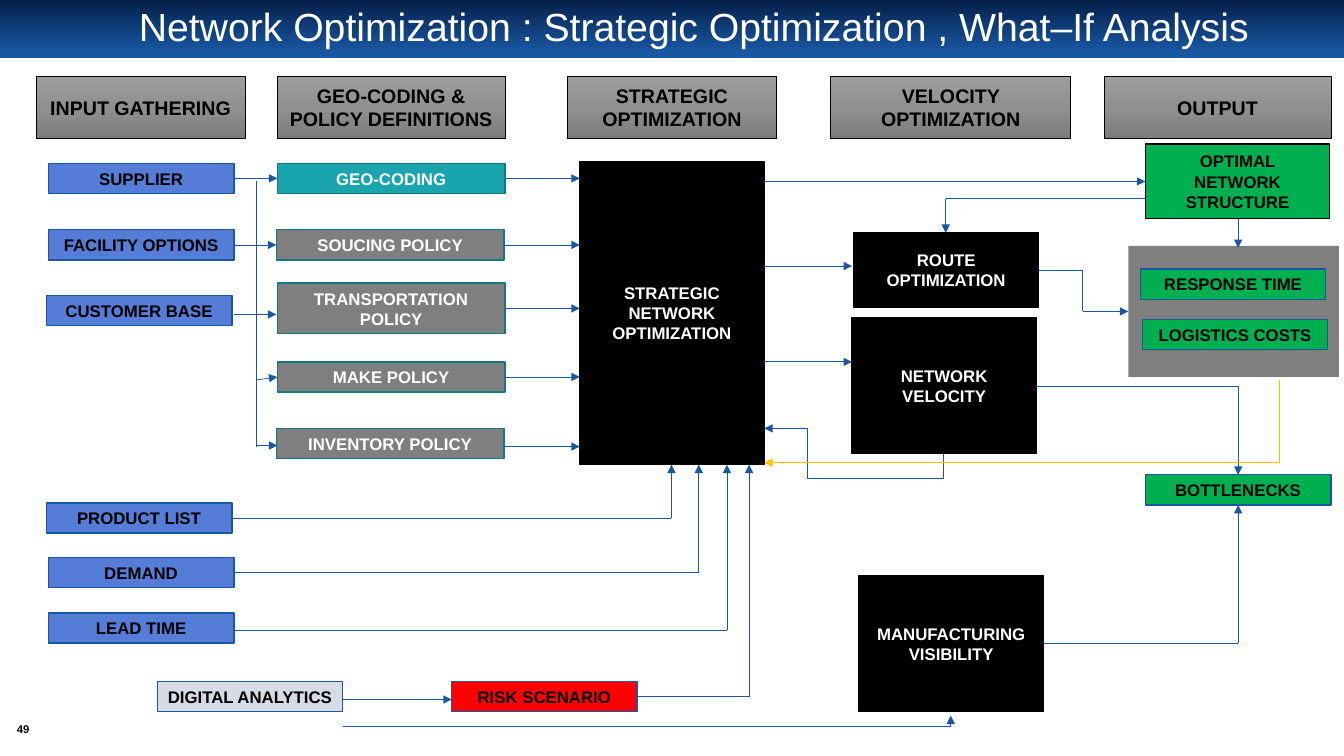
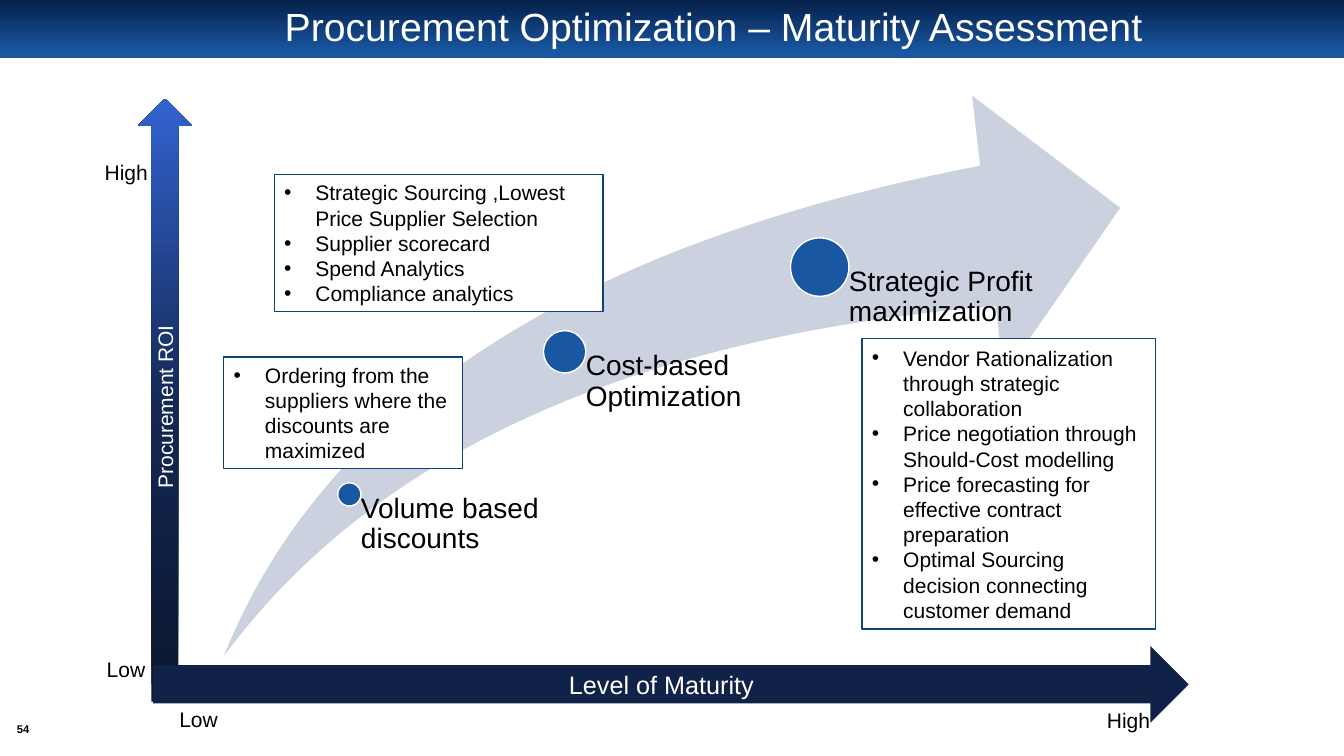
"""Build two supply chain optimization slides."""
from lxml import etree
from pptx import Presentation
from pptx.dml.color import RGBColor
from pptx.enum.shapes import MSO_CONNECTOR, MSO_SHAPE
from pptx.enum.text import MSO_ANCHOR, PP_ALIGN
from pptx.oxml.ns import qn
from pptx.util import Inches, Pt

RECT, OVAL = MSO_SHAPE.RECTANGLE, MSO_SHAPE.OVAL
UP, RIGHT, SWOOSH = MSO_SHAPE.UP_ARROW, MSO_SHAPE.RIGHT_ARROW, MSO_SHAPE.SWOOSH_ARROW
STRAIGHT = MSO_CONNECTOR.STRAIGHT
TOP, MIDDLE = MSO_ANCHOR.TOP, MSO_ANCHOR.MIDDLE
LEFT, CENTER = PP_ALIGN.LEFT, PP_ALIGN.CENTER

FONT = "Arial"
COLORS = {
    "black": "000000", "white": "FFFFFF", "blue": "1957A3", "input": "557DD7",
    "teal": "1AA4AD", "teal_line": "137980", "gray": "7F7F7F", "green": "00B050",
    "red": "FF0000", "pale": "D6DCE5", "amber": "FFC000", "swoosh": "CCD1E0",
    "note_line": "124079", "navy": "112248",
}
GRADIENTS = {
    "band": (270, [(0, "052049"), (90, "1957A3")]),
    "header": (270, [(0, "9D9D9D"), (50, "909090"), (100, "7C7C7C")]),
    "axis": (90, [(0, "0B1730"), (48, "132752"), (100, "3363CF")]),
}


def rgb(name):
    return RGBColor.from_string(COLORS[name])


def write(tf, text, size=12, color="black", bold=False, align=CENTER, anchor=MIDDLE,
          spacing=None, bullet=False, inset=None, wrap=True):
    tf.word_wrap = wrap
    tf.vertical_anchor = anchor
    if inset is not None:
        tf.margin_left = tf.margin_right = tf.margin_top = tf.margin_bottom = Inches(inset)
    for i, line in enumerate(text.split("\n")):
        p = tf.add_paragraph() if i else tf.paragraphs[0]
        p.alignment = align
        if spacing:
            p.line_spacing = spacing
        if bullet:
            pPr = p._p.get_or_add_pPr()
            pPr.set("marL", str(Inches(0.31)))
            pPr.set("indent", str(-Inches(0.31)))
            etree.SubElement(pPr, qn("a:buFont"), typeface=FONT)
            etree.SubElement(pPr, qn("a:buChar"), char="•")
        r = p.add_run()
        r.text = line
        r.font.name, r.font.size, r.font.bold = FONT, Pt(size), bold
        r.font.color.rgb = rgb(color)


class Deck:
    def __init__(self):
        self.prs = Presentation()
        self.prs.slide_width, self.prs.slide_height = Inches(13.33), Inches(7.5)
        self.s = None

    def slide(self, title, left, width, number):
        self.s = self.prs.slides.add_slide(self.prs.slide_layouts[6])
        self.shape(RECT, 0, 0, 13.33, 0.58, "band")
        self.text(title, left, 0.09, width, 0.39, size=28, color="white", spacing=0.9)
        self.text(number, 0.08, 7.14, 0.3, 0.19, size=8, bold=True, inset=0, wrap=False)

    def shape(self, kind, x, y, w, h, fill, line=None, weight=1):
        sp = self.s.shapes.add_shape(kind, Inches(x), Inches(y), Inches(w), Inches(h))
        sp.shadow.inherit = False
        if fill in GRADIENTS:
            self.gradient(sp, *GRADIENTS[fill])
        else:
            sp.fill.solid()
            sp.fill.fore_color.rgb = rgb(fill)
        if line:
            sp.line.color.rgb = rgb(line)
            sp.line.width = Pt(weight)
        else:
            sp.line.fill.background()
        return sp

    def gradient(self, sp, angle, stops):
        sp.fill.gradient()
        sp.fill.gradient_angle = angle
        stop_list = sp._element.spPr.find(qn("a:gradFill")).find(qn("a:gsLst"))
        for stop in list(stop_list):
            stop_list.remove(stop)
        for pos, color in stops:
            stop = etree.SubElement(stop_list, qn("a:gs"), pos=str(pos * 1000))
            etree.SubElement(stop, qn("a:srgbClr"), val=color)

    def text(self, text, x, y, w, h, **fmt):
        tb = self.s.shapes.add_textbox(Inches(x), Inches(y), Inches(w), Inches(h))
        write(tb.text_frame, text, **fmt)

    def box(self, text, x, y, w, h, fill, line="blue", color="black"):
        sp = self.shape(RECT, x, y, w, h, fill, line)
        write(sp.text_frame, text, color=color, bold=True)

    def header(self, text, x, w):
        sp = self.shape(RECT, x, 0.76, w, 0.61, "header", "black", 0.5)
        write(sp.text_frame, text, size=14, bold=True)

    def route(self, *points, color="blue", arrow=True):
        for i, (start, end) in enumerate(zip(points, points[1:]), 2):
            cn = self.s.shapes.add_connector(STRAIGHT, *map(Inches, start + end))
            cn.line.color.rgb = rgb(color)
            cn.line.width = Pt(0.5)
            spPr = cn._element.spPr
            if arrow and i == len(points):
                etree.SubElement(spPr.find(qn("a:ln")), qn("a:tailEnd"), type="triangle")
            etree.SubElement(spPr, qn("a:effectLst"))

    def note(self, text, x, y, w, h):
        sp = self.shape(RECT, x, y, w, h, "white", "note_line")
        write(sp.text_frame, text, size=15, align=LEFT, bullet=True)

    def milestone(self, text, x, y, size):
        self.shape(OVAL, x, y, size, size, "blue", "white")
        self.text(text, x + size, y + size / 2, 1.95, 0.7, size=20, align=LEFT,
                  anchor=TOP, spacing=0.9, inset=0)

    def axis(self, kind, text, x, y, w, h, fill, size, vert="horz"):
        sp = self.shape(kind, x, y, w, h, fill)
        write(sp.text_frame, text, size=size, color="white")
        sp.text_frame._txBody.bodyPr.set("vert", vert)


def network_slide(d):
    d.slide("Network Optimization : Strategic Optimization , What–If Analysis", 1.07, 11.62, "49")
    d.shape(RECT, 11.19, 2.44, 2.09, 1.3, "gray")
    for text, x, w in [
        ("INPUT GATHERING", 0.36, 2.07),
        ("GEO-CODING & POLICY DEFINITIONS", 2.75, 2.26),
        ("STRATEGIC OPTIMIZATION", 5.63, 2.07),
        ("VELOCITY OPTIMIZATION", 8.24, 2.38),
        ("OUTPUT", 10.95, 2.25),
    ]:
        d.header(text, x, w)

    for text, x, y, fill in [
        ("SUPPLIER", 0.48, 1.62, "input"),
        ("FACILITY OPTIONS", 0.48, 2.28, "input"),
        ("CUSTOMER BASE", 0.46, 2.93, "input"),
        ("PRODUCT LIST", 0.46, 4.99, "input"),
        ("DEMAND", 0.48, 5.53, "input"),
        ("LEAD TIME", 0.48, 6.08, "input"),
        ("DIGITAL ANALYTICS", 1.56, 6.76, "pale"),
        ("RISK SCENARIO", 4.48, 6.76, "red"),
        ("RESPONSE TIME", 11.31, 2.67, "green"),
        ("LOGISTICS COSTS", 11.33, 3.17, "green"),
        ("BOTTLENECKS", 11.36, 4.71, "green"),
    ]:
        d.box(text, x, y, 1.84, 0.3, fill)

    for text, x, y, h, fill, arrow_y in [
        ("GEO-CODING", 2.75, 1.62, 0.3, "teal", 1.77),
        ("SOUCING POLICY", 2.74, 2.28, 0.3, "gray", 2.43),
        ("TRANSPORTATION POLICY", 2.75, 2.81, 0.5, "gray", 3.06),
        ("MAKE POLICY", 2.75, 3.59, 0.3, "gray", 3.74),
        ("INVENTORY POLICY", 2.74, 4.25, 0.3, "gray", 4.43),
    ]:
        d.box(text, x, y, 2.26, h, fill, "teal_line", "white")
        d.route((x + 2.26, arrow_y), (5.75, arrow_y))

    for text, x, y, h in [
        ("STRATEGIC NETWORK OPTIMIZATION", 5.75, 1.6, 3.01),
        ("ROUTE OPTIMIZATION", 8.47, 2.31, 0.74),
        ("NETWORK VELOCITY", 8.45, 3.15, 1.35),
        ("MANUFACTURING VISIBILITY", 8.52, 5.71, 1.35),
    ]:
        d.box(text, x, y, 1.83, h, "black", "black", "white")
    d.box("OPTIMAL NETWORK STRUCTURE", 11.36, 1.43, 1.83, 0.74, "green", "black")

    d.route((2.54, 1.8), (2.54, 4.43), arrow=False)
    for points in [
        [(2.32, 1.77), (2.75, 1.77)],
        [(2.32, 2.43), (2.74, 2.43)],
        [(2.32, 3.12), (2.74, 3.12)],
        [(2.54, 3.77), (2.75, 3.74)],
        [(2.54, 4.42), (2.75, 4.42)],
        [(2.3, 5.14), (6.66, 5.14), (6.66, 4.61)],
        [(2.32, 5.68), (6.93, 5.68), (6.93, 4.61)],
        [(2.32, 6.25), (7.21, 6.25), (7.21, 4.61)],
        [(6.32, 6.91), (7.43, 6.91), (7.43, 4.61)],
        [(3.4, 6.94), (4.48, 6.94)],
        [(3.4, 7.21), (9.43, 7.21), (9.43, 7.1)],
        [(7.58, 1.8), (11.36, 1.8)],
        [(7.58, 2.64), (8.45, 2.64)],
        [(7.58, 3.59), (8.45, 3.59)],
        [(9.36, 4.5), (9.36, 4.75), (8.01, 4.75), (8.01, 4.25), (7.58, 4.25)],
        [(11.36, 1.97), (9.38, 1.97), (9.38, 2.31)],
        [(10.3, 2.68), (10.74, 2.68), (10.74, 3.09), (11.19, 3.09)],
        [(10.28, 3.83), (12.28, 3.83), (12.28, 4.71)],
        [(10.34, 6.38), (12.28, 6.38), (12.28, 5.01)],
        [(12.28, 2.17), (12.28, 2.46)],
    ]:
        d.route(*points)
    d.route((12.69, 3.77), (12.69, 4.59), (7.58, 4.59), color="amber")


def maturity_slide(d):
    d.slide("Procurement Optimization – Maturity Assessment", 1.88, 10.39, "54")
    swoosh = d.shape(SWOOSH, 2.22, 0.95, 8.89, 5.56, "swoosh")
    swoosh.adjustments[0] = swoosh.adjustments[1] = 0.25
    d.milestone("Volume based discounts", 3.35, 4.79, 0.23)
    d.milestone("Cost-based Optimization", 5.39, 3.28, 0.42)
    d.milestone("Strategic Profit maximization", 7.84, 2.36, 0.58)

    d.note("Strategic Sourcing ,Lowest Price Supplier Selection\nSupplier scorecard\n"
           "Spend Analytics\nCompliance analytics", 2.72, 1.73, 3.26, 1.36)
    d.note("Vendor Rationalization through strategic collaboration\n"
           "Price negotiation through Should-Cost modelling\n"
           "Price forecasting for effective contract preparation\n"
           "Optimal Sourcing decision connecting customer demand", 8.55, 3.36, 2.91, 2.88)
    d.note("Ordering from the suppliers where the discounts are maximized", 2.22, 3.54, 2.37, 1.11)

    d.axis(UP, "Procurement ROI", 1.37, 0.98, 0.53, 5.98, "axis", 15, "vert270")
    d.axis(RIGHT, "Level of Maturity", 1.52, 6.41, 10.27, 0.76, "navy", 18)
    for text, x, y in [("Low", 0.96, 6.46), ("High", 0.94, 1.53),
                       ("Low", 1.68, 6.96), ("High", 10.88, 6.97)]:
        d.text(text, x, y, 0.8, 0.35, size=15, align=LEFT, anchor=TOP)


def main():
    d = Deck()
    network_slide(d)
    maturity_slide(d)
    d.prs.save("out.pptx")


if __name__ == "__main__":
    main()
